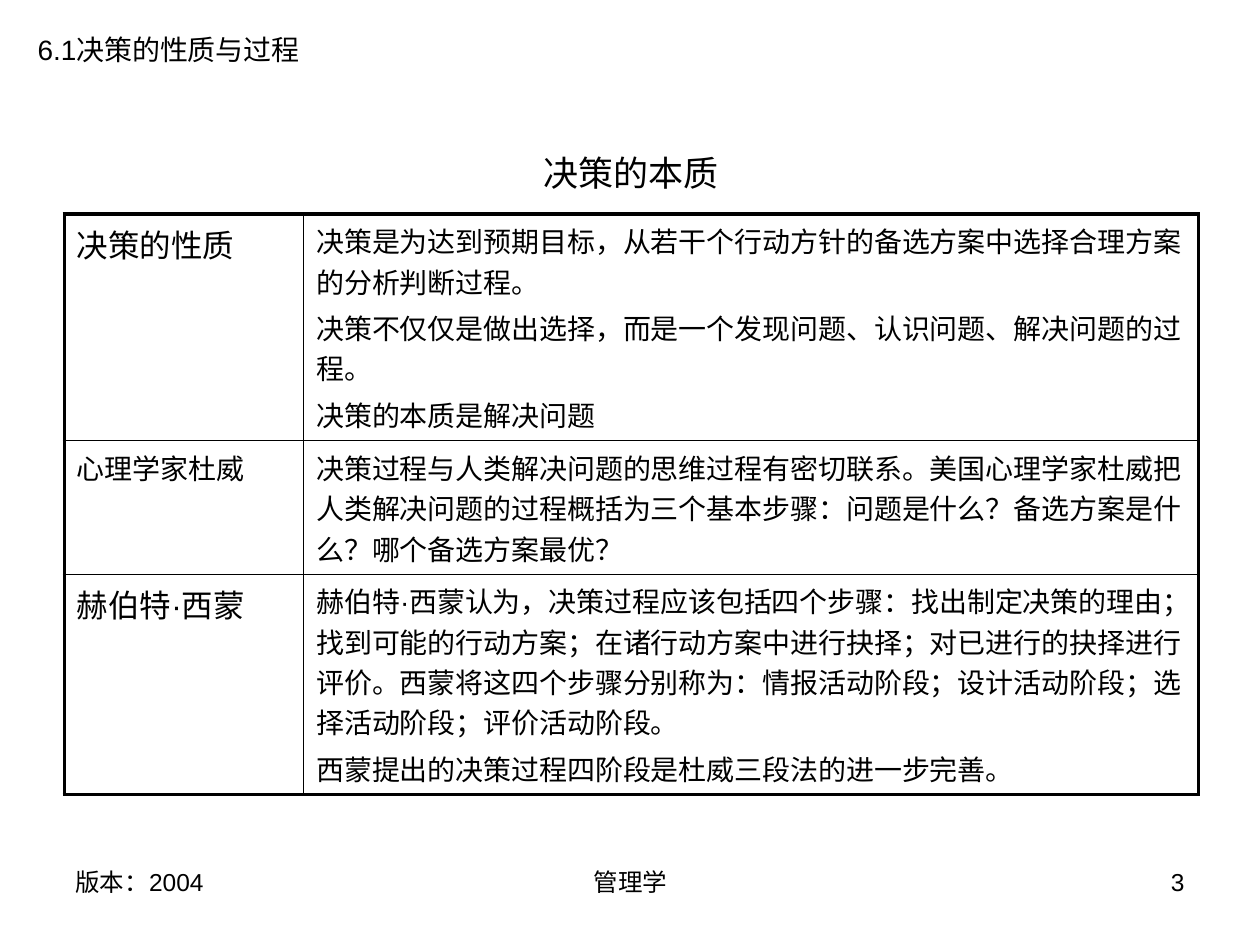
from lxml.etree import SubElement
from pptx import Presentation
from pptx.dml.color import RGBColor
from pptx.enum.text import MSO_ANCHOR as Anchor, MSO_AUTO_SIZE as AutoSize, PP_ALIGN as Align
from pptx.oxml.ns import qn
from pptx.util import Inches, Pt

ARIAL, NOTO = "Arial", "Noto Sans CJK SC"
INK = "000000"
THICK, THIN = 2.25, 1


def color(hex_string):
    return RGBColor.from_string(hex_string)


class SlideBuilder:
    def __init__(self, page):
        self.page = page

    def run(self, para, text, size, font=ARIAL):
        span = para.add_run()
        span.text = text
        span.font.size = Pt(size)
        span.font.color.rgb = color(INK)
        span.font.name = font
        SubElement(span.font._element, qn("a:ea"), typeface=NOTO)

    def fill_frame(self, box, place, text, size, align, wrap):
        box.left, box.top, box.width, box.height = map(Inches, place)
        frame = box.text_frame
        frame.auto_size = AutoSize.NONE
        frame.word_wrap = wrap
        frame.vertical_anchor = Anchor.TOP
        para = frame.paragraphs[0]
        para.alignment = align
        self.run(para, text, size)

    def title(self, place, text, size):
        self.fill_frame(self.page.shapes.title, place, text, size, Align.LEFT, False)

    def text(self, place, text, size, align=Align.LEFT, wrap=True):
        box = self.page.shapes.add_textbox(*map(Inches, place))
        self.fill_frame(box, place, text, size, align, wrap)

    def border(self, cell, side, width):
        line = SubElement(cell._tc.get_or_add_tcPr(), qn(f"a:ln{side}"), w=str(Pt(width)))
        SubElement(SubElement(line, qn("a:solidFill")), qn("a:srgbClr"), val=INK)

    def cell(self, cell, paragraphs, edges):
        for index, (align, spans) in enumerate(paragraphs):
            frame = cell.text_frame
            para = frame.add_paragraph() if index else frame.paragraphs[0]
            para.alignment = align
            para.space_before = Pt(3.5)
            for span in spans:
                self.run(para, *span)
        for side, outer in edges.items():
            self.border(cell, side, THICK if outer else THIN)
        cell.fill.background()

    def table(self, place, widths, heights, content):
        rows, cols = len(heights), len(widths)
        table = self.page.shapes.add_table(rows, cols, *map(Inches, place)).table
        table.first_row = table.horz_banding = False
        for column, width in zip(table.columns, widths):
            column.width = Inches(width)
        for row, height in zip(table.rows, heights):
            row.height = Inches(height)
        for r, line in enumerate(content):
            for c, paragraphs in enumerate(line):
                edges = {"L": c == 0, "R": c == cols - 1, "T": r == 0, "B": r == rows - 1}
                self.cell(table.cell(r, c), paragraphs, edges)


def left(*spans):
    return Align.LEFT, spans


CONTENT = [
    [
        [left(("决策的性质", 18))],
        [
            left(("决策是为达到预期目标，从若干个行动方针的备选方案中选择合理方案的分析判断过程。", 16)),
            left(("决策不仅仅是做出选择，而是一个发现问题、认识问题、解决问题的过程。", 16)),
            left(("决策的本质是解决问题", 16)),
        ],
    ],
    [
        [left(("心理学家杜威", 16, NOTO))],
        [left(("决策过程与人类解决问题的思维过程有密切联系。美国心理学家杜威把人类解决问题的过程"
               "概括为三个基本步骤：问题是什么？备选方案是什么？哪个备选方案最优？", 16, NOTO))],
    ],
    [
        [left(("赫伯特·", 18), ("西蒙", 18, NOTO))],
        [
            left(("赫伯特·西蒙认为，决策过程应该包括四个步骤：找出制定决策的理由；找到可能的行动方案；"
                  "在诸行动方案中进行抉择；对已进行的抉择进行评价。西蒙将这四个步骤分别称为："
                  "情报活动阶段；设计活动阶段；选择活动阶段；评价活动阶段。", 16)),
            (Align.JUSTIFY, [("西蒙提出的决策过程四阶段是杜威三段法的进一步完善。", 16, NOTO)]),
        ],
    ],
]


def main():
    deck = Presentation()
    deck.slide_width, deck.slide_height = Inches(10), Inches(7.5)
    builder = SlideBuilder(deck.slides.add_slide(deck.slide_layouts[5]))

    # Headings
    builder.title((4.21, 1.15, 1.65, 0.43), "决策的本质", 20)
    builder.text((0.2, 0.21, 2.36, 0.37), "6.1决策的性质与过程", 16, wrap=False)

    # Table of views on decision making
    builder.table((0.51, 1.7, 9, 4.03), (1.9, 7.1), (1.57, 0.93, 1.53), CONTENT)

    # Footer
    for x, width, text, align in (
        (0.5, 2.33, "版本：2004", Align.LEFT),
        (3.42, 3.17, "管理学", Align.CENTER),
        (7.17, 2.33, "3", Align.RIGHT),
    ):
        builder.text((x, 6.83, width, 0.52), text, 14, align)

    deck.save("out.pptx")


if __name__ == "__main__":
    main()
